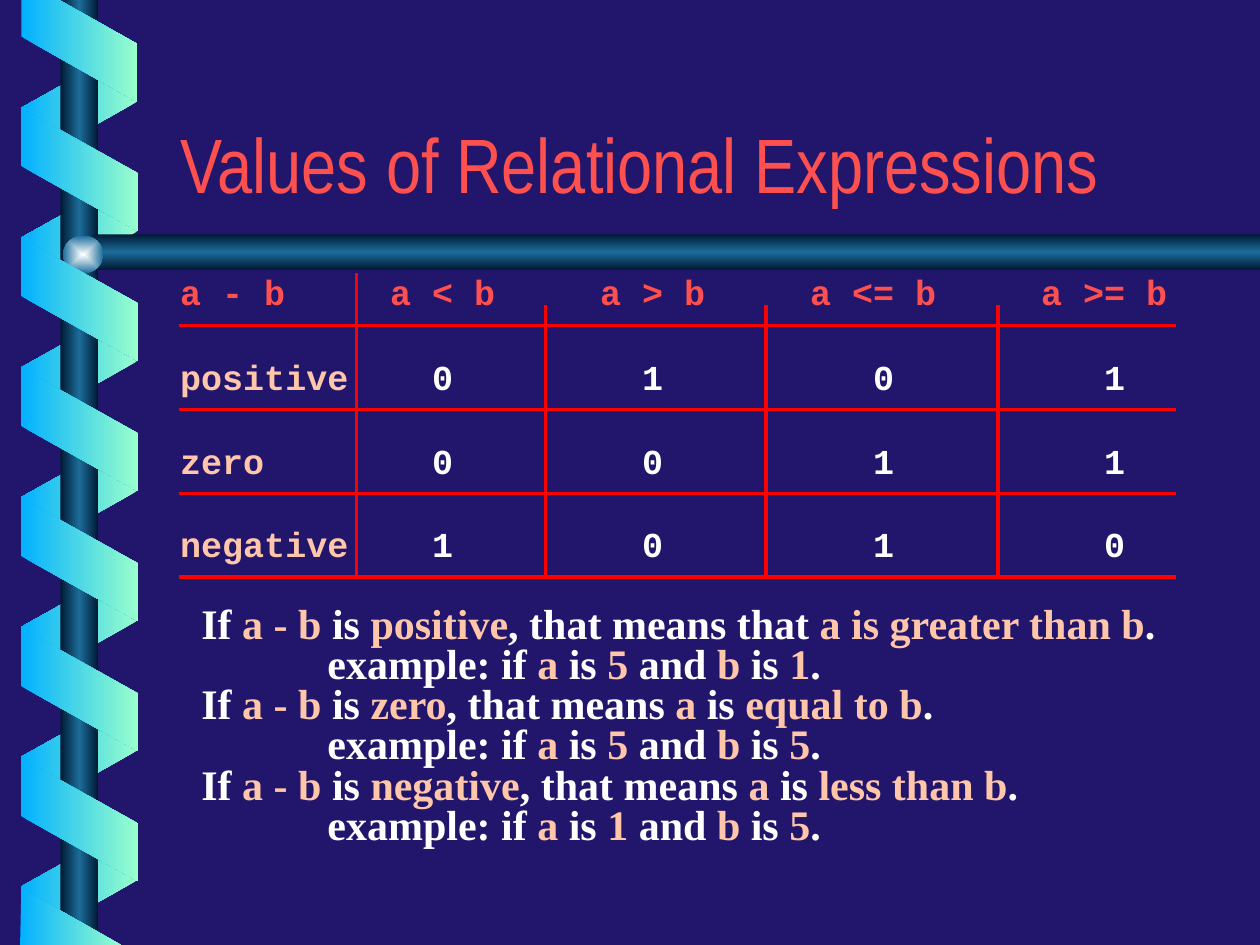
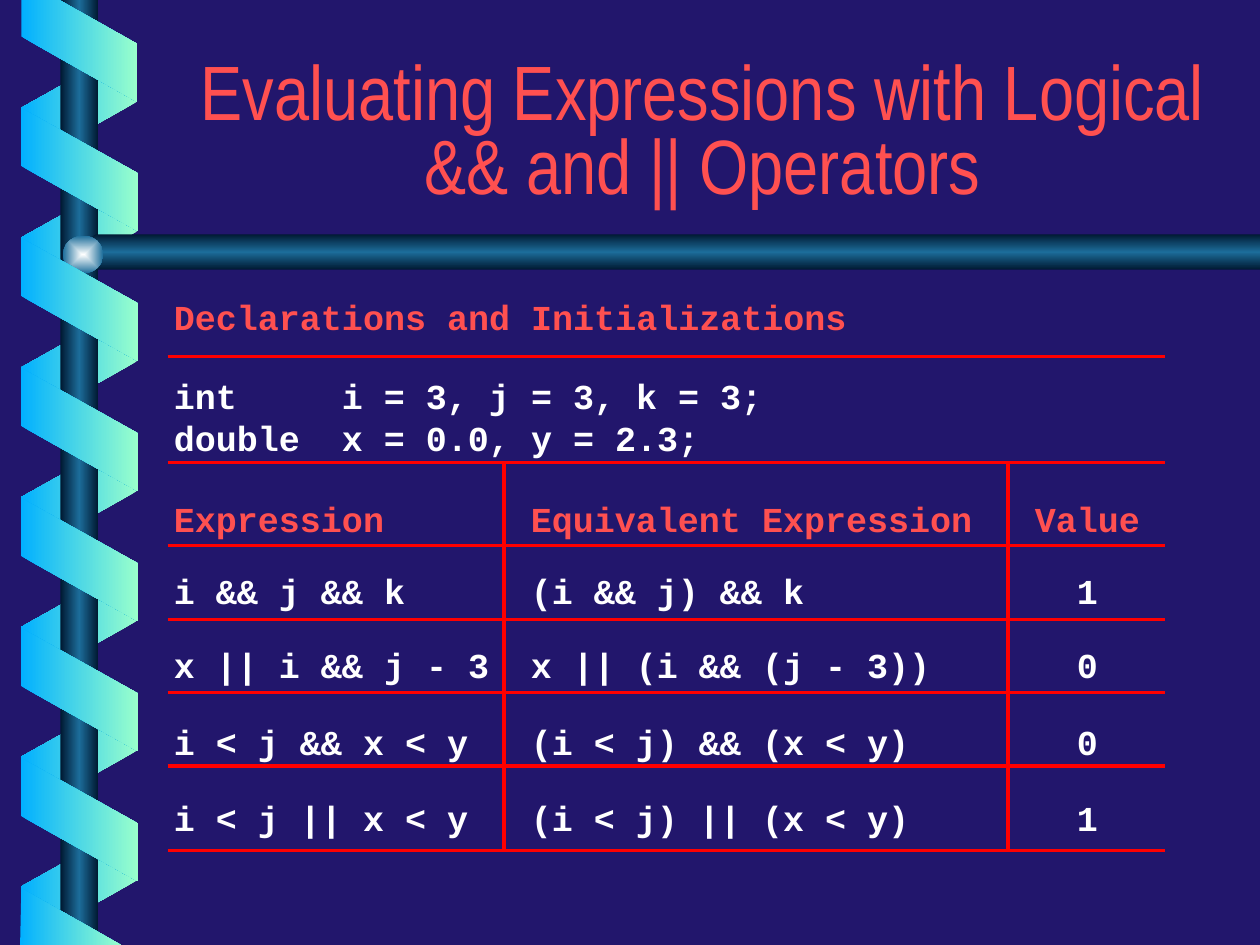
from itertools import pairwise

from pptx import Presentation
from pptx.dml.color import RGBColor
from pptx.enum.shapes import MSO_CONNECTOR, MSO_SHAPE
from pptx.enum.text import MSO_ANCHOR, MSO_AUTO_SIZE, PP_ALIGN
from pptx.oxml import parse_xml
from pptx.oxml.ns import nsdecls
from pptx.util import Inches, Pt

PARALLELOGRAM, RECT, OVAL = MSO_SHAPE.PARALLELOGRAM, MSO_SHAPE.RECTANGLE, MSO_SHAPE.OVAL
STRAIGHT = MSO_CONNECTOR.STRAIGHT
BOTTOM = MSO_ANCHOR.BOTTOM
LEFT, CENTER = PP_ALIGN.LEFT, PP_ALIGN.CENTER
NO_AUTOSIZE = MSO_AUTO_SIZE.NONE

COLORS = {
    "background": "22166C", "coral": "FF5050", "peach": "FFC6A9",
    "white": "FFFFFF", "rule": "FF0000", "ribbon_blue": "01B0FF",
    "ribbon_green": "99FFCC", "rod_dark": "001932", "rod_light": "1C6D9A",
    "glint": "FEFFFF",
}
TITLE_FONT, CODE_FONT, BODY_FONT = "Arial Narrow", "Courier New", "Times New Roman"
CHAR = 1 / 6  # width in inches of one 20 pt code character
NO_STYLE = "{2D5ABB26-0587-4C30-8999-92F81FD0307C}"

# Starts count code characters from text_left; gaps lie between text and rule.
RELATIONAL = {
    "rows": [
        ("a - b", "a < b", "a > b", "a <= b", "a >= b"),
        ("positive", "0", "1", "0", "1"),
        ("zero", "0", "0", "1", "1"),
        ("negative", "1", "0", "1", "0"),
    ],
    "headers": {0},
    "first_column": "peach",
    "text_left": 1.43,
    "header_starts": (0, 10, 20, 30, 41),
    "value_starts": (0, 12, 22, 33, 44),
    "x": (1.42, 2.83, 4.33, 6.08, 7.92, 9.33),
    "y": (2.17, 2.58, 3.25, 3.92, 4.58),
    "gaps": (0.07, 0.07, 0.07, 0.07),
    "column_rules": [(2.83, 2.17), (4.33, 2.42), (6.08, 2.42), (7.92, 2.42)],
}
LOGICAL = {
    "rows": [
        ("Declarations and Initializations",),
        ("int\ti = 3, j = 3, k = 3;\ndouble\tx = 0.0, y = 2.3;",),
        ("Expression", "Equivalent Expression", "Value"),
        ("i && j && k", "(i && j) && k", "1"),
        ("x || i && j - 3", "x || (i && (j - 3))", "0"),
        ("i < j && x < y", "(i < j) && (x < y)", "0"),
        ("i < j || x < y", "(i < j) || (x < y)", "1"),
    ],
    "headers": {0, 2},
    "first_column": "white",
    "text_left": 1.38,
    "header_starts": (0, 17, 41),
    "value_starts": (0, 17, 43),
    "x": (1.33, 4, 8, 9.25),
    "y": (2.33, 2.83, 3.67, 4.33, 4.92, 5.5, 6.08, 6.75),
    "gaps": (0.12, 0, 0.02, 0.04, 0.03, 0, 0.07),
    "column_rules": [(4, 3.67), (8, 3.67)],
}
# Every second part between bars is highlighted.
EXPLANATION = [
    ("If |a - b| is |positive|, that means that |a is greater than b|.",
     "example: if |a| is |5| and |b| is |1|."),
    ("If |a - b| is |zero|, that means |a| is |equal to b|.",
     "example: if |a| is |5| and |b| is |5|."),
    ("If |a - b| is |negative|, that means |a| is |less than b|.",
     "example: if |a| is |1| and |b| is |5|."),
]


def box(*lengths):
    return [Inches(v) for v in lengths]


def style(r, font, size, color, bold=False):
    r.font.name, r.font.size, r.font.bold = font, Pt(size), bold
    r.font.color.rgb = RGBColor.from_string(COLORS[color])


def gradient(sp, names, angle=0, path=False):
    """Fill with evenly spaced colours that keep their direction when turned."""
    stops = "".join(
        f'<a:gs pos="{100000 * i // (len(names) - 1)}"><a:srgbClr val="{COLORS[n]}"/></a:gs>'
        for i, n in enumerate(names))
    course = ('<a:path path="rect"><a:fillToRect l="50000" t="50000" r="50000" b="50000"/></a:path>'
              if path else f'<a:lin ang="{angle * 60000}" scaled="0"/>')
    sp.fill.background()
    no_fill = sp.element.xpath("p:spPr/a:noFill")[0]
    no_fill.getparent().replace(no_fill, parse_xml(
        f'<a:gradFill rotWithShape="0" {nsdecls("a")}><a:gsLst>{stops}</a:gsLst>{course}</a:gradFill>'))
    sp.line.fill.background()
    sp.shadow.inherit = False
    return sp


def outline(s, points):
    (x, y), *rest = [box(*pt) for pt in points]
    builder = s.shapes.build_freeform(x, y, scale=1.0)
    builder.add_line_segments(rest, close=True)
    return builder.convert_to_shape()


def ribbon(s, top, height, rotation, names):
    sp = s.shapes.add_shape(PARALLELOGRAM, *box(0.14, top, 0.98, height))
    sp.adjustments[0] = 0.56
    sp.rotation = rotation
    return gradient(sp, names)


def decorate(layout, s):
    """Draw the spiral and rods on s, then move them behind the layout's text."""
    blue_green = ("ribbon_blue", "ribbon_green")
    rod = ("rod_dark", "rod_light", "rod_dark")
    parts = []
    for i in range(7):
        sp = ribbon(s, 0.37 + 1.03 * i, 0.92, 90, blue_green[::-1])
        sp.element.xpath("p:spPr/a:xfrm")[0].set("flipH", "1")
        parts.append(sp)
    parts.append(gradient(s.shapes.add_shape(RECT, *box(0.48, 0, 0.3, 7.5)), rod))
    bar = outline(s, [(10, 1.86), (0.76, 1.86), (0.6, 2), (0.76, 2.14), (10, 2.14)])
    parts.append(gradient(bar, rod, 90))
    knob = s.shapes.add_shape(OVAL, *box(0.5, 1.87, 0.32, 0.3))
    parts.append(gradient(knob, ("glint", "rod_light"), path=True))
    parts += [ribbon(s, 0.88 + 1.032 * i, 0.93, 270, blue_green) for i in range(6)]
    for points in ([(0.17, 0), (0.17, 0.29), (1.09, 0.81), (1.09, 0.35), (0.47, 0)],
                   [(0.96, 7.5), (0.17, 7.05), (0.16, 7.5)]):
        parts.append(gradient(outline(s, points), blue_green))
    for i, sp in enumerate(parts):
        sp.element.xpath(".//p:cNvPr")[0].set("id", str(100 + i))
        layout.shapes.element.insert(2 + i, sp.element)


def set_title(s, text, align=LEFT, spacing=1.0):
    title = s.shapes.title
    title.left, title.top, title.width, title.height = box(1.33, 0.46, 8.5, 1.25)
    tf = title.text_frame
    tf.text = text
    tf.word_wrap, tf.auto_size, tf.vertical_anchor = True, NO_AUTOSIZE, BOTTOM
    p = tf.paragraphs[0]
    p.alignment, p.line_spacing = align, spacing
    style(p.runs[0], TITLE_FONT, 44, "coral")


def rule_below(cell):
    cell.fill.background()
    cell._tc.get_or_add_tcPr().insert(0, parse_xml(
        f'<a:lnB w="{Pt(2)}" {nsdecls("a")}><a:solidFill>'
        f'<a:srgbClr val="{COLORS["rule"]}"/></a:solidFill></a:lnB>'))


def fill_cell(cell, text, color, indent, gap):
    cell.margin_left, cell.margin_right = Inches(indent), 0
    cell.margin_top, cell.margin_bottom = 0, Inches(gap)
    cell.vertical_anchor = BOTTOM
    cell.text_frame.text = text
    for p in cell.text_frame.paragraphs:
        if "\t" in p.text:
            p.line_spacing = Pt(24)
            p._p.get_or_add_pPr().append(parse_xml(
                f'<a:tabLst {nsdecls("a")}><a:tab pos="{Inches(8 * CHAR)}" algn="l"/></a:tabLst>'))
        for r in p.runs:
            style(r, CODE_FONT, 20, color, True)


def add_ruled_table(s, data):
    xs, ys, rows = data["x"], data["y"], data["rows"]
    frame = s.shapes.add_table(len(rows), len(xs) - 1,
                               *box(xs[0], ys[0], xs[-1] - xs[0], ys[-1] - ys[0]))
    table = frame.table
    table.first_row = table.horz_banding = False
    frame.element.xpath(".//a:tableStyleId")[0].text = NO_STYLE
    for column, (a, b) in zip(table.columns, pairwise(xs)):
        column.width = Inches(b - a)
    for row, (a, b) in zip(table.rows, pairwise(ys)):
        row.height = Inches(b - a)
        for cell in row.cells:
            rule_below(cell)
    for i, texts in enumerate(rows):
        is_header = i in data["headers"]
        starts = data["header_starts" if is_header else "value_starts"]
        if len(texts) == 1:
            table.cell(i, 0).merge(table.cell(i, len(xs) - 2))
        for j, text in enumerate(texts):
            color = "coral" if is_header else data["first_column"] if j == 0 else "white"
            indent = data["text_left"] + starts[j] * CHAR - xs[j]
            fill_cell(table.cell(i, j), text, color, indent, data["gaps"][i])
    for x, top in data["column_rules"]:
        line = s.shapes.add_connector(STRAIGHT, *box(x, top, x, ys[-1]))
        line.line.color.rgb = RGBColor.from_string(COLORS["rule"])
        line.line.width = Pt(2)
        line.element.spPr.append(parse_xml(f'<a:effectLst {nsdecls("a")}/>'))


def add_explanation(s):
    tf = s.shapes.add_textbox(*box(1.5, 4.77, 7.78, 2.02)).text_frame
    tf.word_wrap = False
    lines = [(text, level) for pair in EXPLANATION for level, text in enumerate(pair)]
    for i, (text, indent) in enumerate(lines):
        p = tf.add_paragraph() if i else tf.paragraphs[0]
        p.line_spacing = Pt(23)
        p._p.get_or_add_pPr().set("marL", str(Inches(indent)))
        for k, part in enumerate(text.split("|")):
            r = p.add_run()
            r.text = part
            style(r, BODY_FONT, 24, "peach" if k % 2 else "white", True)


def main():
    prs = Presentation()
    prs.slide_width, prs.slide_height = box(10, 7.5)
    layout = prs.slide_layouts[5]
    fill = layout.background.fill
    fill.solid()
    fill.fore_color.rgb = RGBColor.from_string(COLORS["background"])

    s = prs.slides.add_slide(layout)
    decorate(layout, s)
    set_title(s, "Values of Relational Expressions")
    add_ruled_table(s, RELATIONAL)
    add_explanation(s)

    s = prs.slides.add_slide(layout)
    set_title(s, "Evaluating Expressions with Logical && and || Operators", CENTER, 0.8)
    add_ruled_table(s, LOGICAL)
    prs.save("out.pptx")


if __name__ == "__main__":
    main()
